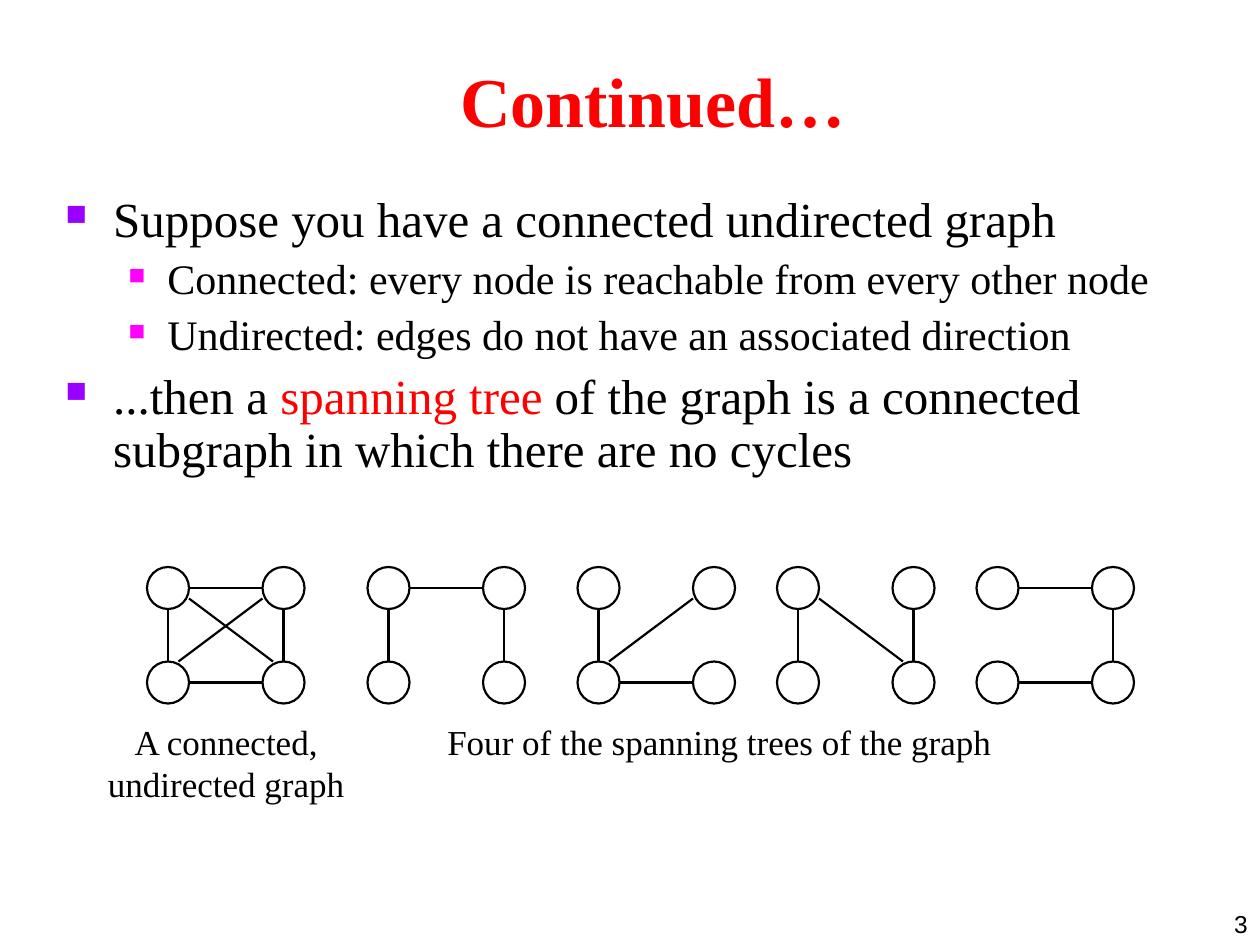
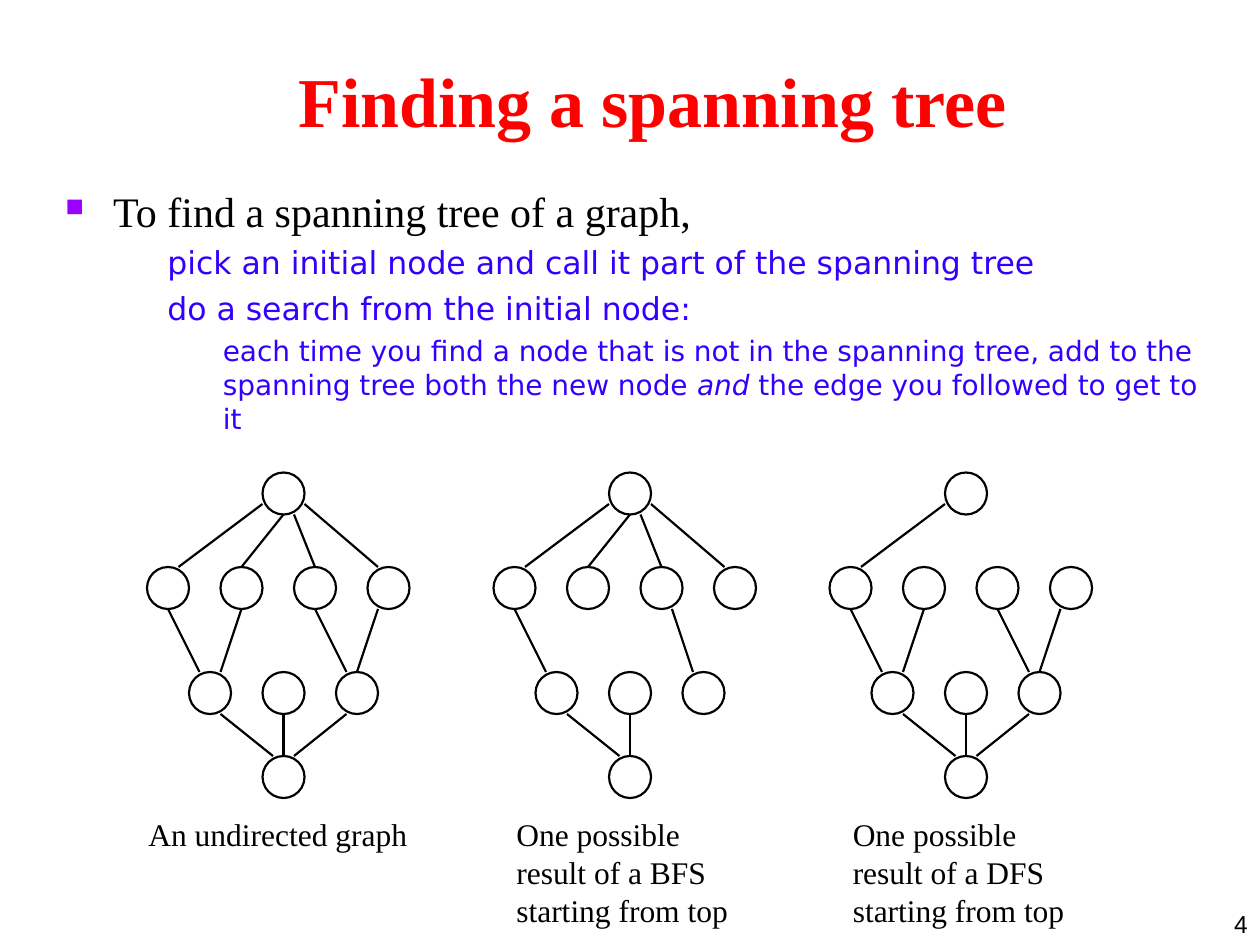
"""Build two slides on spanning trees: the definition and how to find one."""
from lxml import etree
from pptx import Presentation
from pptx.dml.color import RGBColor
from pptx.enum import shapes, text
from pptx.oxml.ns import qn
from pptx.util import Inches, Pt

BLACK = RGBColor(0x00, 0x00, 0x00)
RED = RGBColor(0xFF, 0x00, 0x00)
BLUE = RGBColor(0x33, 0x00, 0xFF)
PURPLE = RGBColor(0x99, 0x00, 0xFF)
MAGENTA = RGBColor(0xFF, 0x00, 0xFF)
SERIF, SANS, NUMBER_FONT = "Times New Roman", "DejaVu Sans", "Arial"

UNITS_PER_INCH = 12
NODE_SIZE = 4

TOPIC = dict(margin=0.38, indent=-0.38, bullet=(PURPLE, 60), font=SERIF, color=BLACK)
DETAIL = dict(margin=0.81, indent=-0.31, bullet=(MAGENTA, 55), font=SERIF, color=BLACK)
STEP = dict(margin=0.81, indent=0, bullet=None, font=SANS, color=BLUE)
SUBSTEP = dict(STEP, margin=1.25)

SQUARE = {
    "nodes": [(0, 0), (0, 9), (11, 9), (11, 0)],
    "edges": {
        "left": (2, 4, 2, 9),
        "right": (13, 4, 13, 9),
        "top": (4, 2, 11, 2),
        "bottom": (4, 11, 11, 11),
        "rising": (3, 9, 11, 3),
        "falling": (4, 3, 12, 9),
    },
}
LAYERED = {
    "nodes": [(11, 0), (0, 9), (7, 9), (14, 9), (21, 9),
              (4, 19), (11, 19), (18, 19), (11, 27)],
    "edges": {
        "root-a": (11, 3, 3, 9),
        "root-b": (9, 9, 13, 4),
        "root-c": (16, 9, 14, 4),
        "root-d": (22, 9, 15, 3),
        "a-e": (5, 19, 2, 13),
        "b-e": (9, 13, 7, 19),
        "c-g": (16, 13, 19, 19),
        "c-g steep": (17, 13, 19, 19),
        "d-g": (22, 13, 20, 19),
        "e-h": (7, 23, 12, 27),
        "f-h": (13, 23, 13, 27),
        "g-h": (19, 23, 14, 27),
    },
}

SLIDES = [
    {
        "title": "Continued…",
        "number": 3,
        "body_box": (0.42, 1.5, 9.38, 2.43),
        "line_spacing": 0.9,
        "body": [
            (TOPIC, 28, 7, [("Suppose you have a connected undirected graph", {})]),
            (DETAIL, 24, 6, [("Connected: every node is reachable from every other node", {})]),
            (DETAIL, 24, 6, [("Undirected: edges do not have an associated direction", {})]),
            (TOPIC, 28, 7, [
                ("...then a ", {}),
                ("spanning tree", {"color": RED}),
                (" of the graph is a connected subgraph in which there are no cycles", {}),
            ]),
        ],
        "graph": SQUARE,
        "graph_top": 54,
        "diagrams": [
            (14, ["left", "right", "top", "bottom", "rising", "falling"]),
            (35, ["left", "right", "top"]),
            (55, ["left", "bottom", "rising"]),
            (74, ["left", "right", "falling"]),
            (93, ["right", "top", "bottom"]),
        ],
        "caption_style": (20, text.PP_ALIGN.CENTER),
        "captions": [
            ((0.67, 5.67, 2.25, 0.77), "A connected,\nundirected graph"),
            ((2.92, 5.67, 5.58, 0.44), "Four of the spanning trees of the graph"),
        ],
    },
    {
        "title": "Finding a spanning tree",
        "number": 4,
        "body_box": (0.42, 1.42, 9.38, 2.65),
        "line_spacing": 1.0,
        "body": [
            (TOPIC, 24, 6, [("To find a spanning tree of a graph,", {})]),
            (STEP, 18, 4.5, [("pick an initial node and call it part of the spanning tree", {})]),
            (STEP, 18, 4.5, [("do a search from the initial node:", {})]),
            (SUBSTEP, 16, 4, [
                ("each time you find a node that is not in the spanning tree, "
                 "add to the spanning tree both the new node ", {}),
                ("and", {"italic": True}),
                (" the edge you followed to get to it", {}),
            ]),
        ],
        "graph": LAYERED,
        "graph_top": 45,
        "diagrams": [
            (14, [name for name in LAYERED["edges"] if name != "c-g steep"]),
            (47, ["root-a", "root-b", "root-c", "root-d", "a-e", "c-g steep", "e-h", "f-h"]),
            (79, ["root-a", "a-e", "d-g", "b-e", "c-g", "g-h", "e-h", "f-h"]),
        ],
        "caption_style": (18, text.PP_ALIGN.LEFT),
        "captions": [
            ((1.08, 6.42, 2.5, 0.4), "An undirected graph"),
            ((4, 6.42, 2, 1), "One possible result of a BFS\nstarting from top"),
            ((6.67, 6.42, 2, 1), "One possible result of a DFS\nstarting from top"),
        ],
    },
]


def format_run(run, size, font, color, bold=False, italic=False):
    run.font.size = Pt(size)
    run.font.name = font
    run.font.color.rgb = color
    run.font.bold = bold
    run.font.italic = italic


def add_frame(slide, box, anchor=text.MSO_ANCHOR.TOP):
    frame = slide.shapes.add_textbox(*map(Inches, box)).text_frame
    frame.word_wrap = True
    frame.vertical_anchor = anchor
    return frame


def add_label(slide, box, label, size, font, color, align,
              anchor=text.MSO_ANCHOR.TOP, bold=False):
    paragraph = add_frame(slide, box, anchor).paragraphs[0]
    paragraph.text = label.replace("\n", "\v")
    paragraph.alignment = align
    for run in paragraph.runs:
        format_run(run, size, font, color, bold)


def set_bullet(paragraph, style):
    properties = paragraph._p.get_or_add_pPr()
    properties.set("marL", str(Inches(style["margin"])))
    properties.set("indent", str(Inches(style["indent"])))
    if style["bullet"] is None:
        etree.SubElement(properties, qn("a:buNone"))
        return
    color, percent = style["bullet"]
    bullet_color = etree.SubElement(properties, qn("a:buClr"))
    etree.SubElement(bullet_color, qn("a:srgbClr"), val=str(color))
    etree.SubElement(properties, qn("a:buSzPct"), val=str(percent * 1000))
    etree.SubElement(properties, qn("a:buChar"), char="■")


def add_body(slide, box, items, line_spacing):
    frame = add_frame(slide, box)
    for index, (style, size, space_before, pieces) in enumerate(items):
        paragraph = frame.add_paragraph() if index else frame.paragraphs[0]
        set_bullet(paragraph, style)
        paragraph.line_spacing = line_spacing
        if index:
            paragraph.space_before = Pt(space_before)
        for piece, changes in pieces:
            run = paragraph.add_run()
            run.text = piece
            look = {"font": style["font"], "color": style["color"], **changes}
            format_run(run, size, **look)


def draw_outline(shape):
    shape.line.color.rgb = BLACK
    shape.line.width = Pt(1.25)


def add_diagram(slide, graph, left, top, edge_names):
    group = slide.shapes.add_group_shape().shapes

    def place(*units):
        origins = (left, top) * (len(units) // 2)
        return [Inches((origin + unit) / UNITS_PER_INCH)
                for origin, unit in zip(origins, units)]

    diameter = Inches(NODE_SIZE / UNITS_PER_INCH)
    for node in graph["nodes"]:
        circle = group.add_shape(shapes.MSO_SHAPE.OVAL, *place(*node), diameter, diameter)
        circle.shadow.inherit = False
        circle.fill.background()
        draw_outline(circle)
    for name in edge_names:
        edge = group.add_connector(shapes.MSO_CONNECTOR.STRAIGHT, *place(*graph["edges"][name]))
        draw_outline(edge)
        etree.SubElement(edge._element.spPr, qn("a:effectLst"))


def build_slide(presentation, content):
    slide = presentation.slides.add_slide(presentation.slide_layouts[6])
    add_label(slide, (7.92, 7, 2.08, 0.5), str(content["number"]), 14, NUMBER_FONT, BLACK,
              text.PP_ALIGN.RIGHT, text.MSO_ANCHOR.BOTTOM)
    add_label(slide, (0.5, 0.25, 9.36, 0.92), content["title"], 40, SERIF, RED,
              text.PP_ALIGN.CENTER, text.MSO_ANCHOR.BOTTOM, bold=True)
    add_body(slide, content["body_box"], content["body"], content["line_spacing"])
    for left, edge_names in content["diagrams"]:
        add_diagram(slide, content["graph"], left, content["graph_top"], edge_names)
    size, align = content["caption_style"]
    for box, caption in content["captions"]:
        add_label(slide, box, caption, size, SERIF, BLACK, align)


def main():
    presentation = Presentation()
    presentation.slide_width = Inches(10)
    presentation.slide_height = Inches(7.5)
    for content in SLIDES:
        build_slide(presentation, content)
    presentation.save("out.pptx")


if __name__ == "__main__":
    main()
